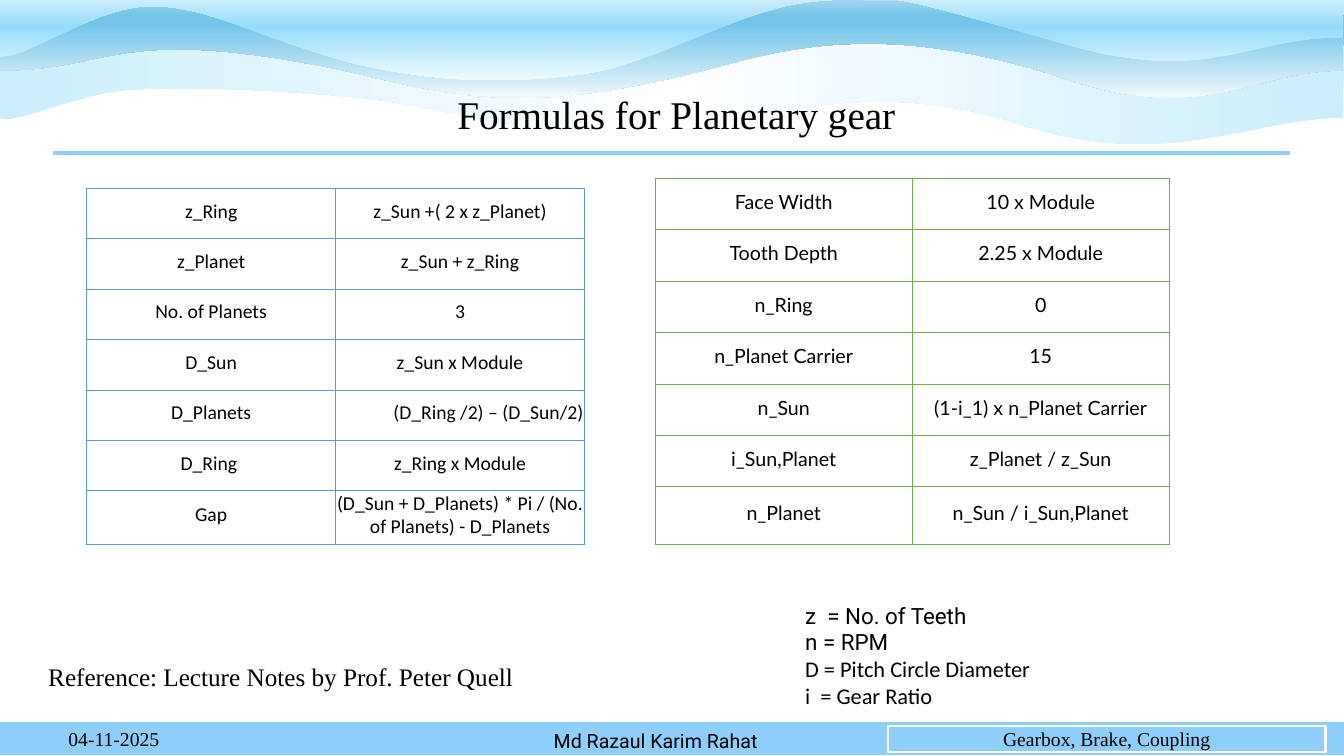
from dataclasses import dataclass
from typing import NamedTuple

from lxml import etree
from pptx import Presentation, util as u
from pptx.dml import color
from pptx.enum import shapes, text
from pptx.oxml import ns

# Lengths count square grid cells: 75 rows fill the slide's height.
HEIGHT = u.Inches(7.5)
CELL = HEIGHT / 75
COLUMNS = 133.33
SKY, WHITE, BLACK = "8ECEFA", "FFFFFF", "000000"
SERIF, SANS, HUMANIST, OFFICE = "Times New Roman", "Roboto", "Lato", "Calibri"
LEFT, CENTER, RIGHT = text.PP_ALIGN.LEFT, text.PP_ALIGN.CENTER, text.PP_ALIGN.RIGHT
TOP, MIDDLE = text.MSO_ANCHOR.TOP, text.MSO_ANCHOR.MIDDLE

Point = tuple[float, float]


class Box(NamedTuple):
    left: float
    top: float
    width: float
    height: float


@dataclass
class Wave:
    start: Point
    curves: list[tuple[Point, Point, Point]]
    top_edge: list[Point]
    stops: list[tuple[int, str]]
    angle: int


@dataclass
class Label:
    box: Box
    lines: list[tuple[str, str]]
    size: int
    align: int = CENTER
    anchor: int = MIDDLE
    framed: bool = False


@dataclass
class FormulaTable:
    box: Box
    row_height: float
    border: str
    font: str
    rows: list[tuple[str, str]]


WAVES = [
    Wave((133.2, 11.7),
         [((123.8, 11.7), (115.4, 17.3), (100.1, 12)),
          ((82.9, 6.8), (72.2, 13.8), (61.1, 13.4)),
          ((50.1, 13), (42.2, 10.1), (33.6, 9.5)),
          ((25, 8.8), (18.5, 8.6), (12.9, 8.9)),
          ((7.3, 9.3), (1.5, 12.5), (-0.1, 11.7))],
         [(-0.2, 4.5), (133.4, 4.8)],
         [(0, "CAEEFB"), (50, WHITE), (100, "CAEEFB")], 0),
    Wave((133.2, 7),
         [((123.9, 7), (119.6, 12.8), (104.4, 7.4)),
          ((87.1, 2), (77.3, 5), (70.6, 6.8)),
          ((52.8, 11.4), (45.9, 9.8), (34.6, 7.1)),
          ((11.3, 2.2), (11.5, 7), (0, 7))],
         [(0.1, 0), (65.4, -0.1), (133.3, 0.4)],
         [(0, "A2D8F0"), (17, "74C4E9"), (26, "74C4E9"), (100, "F0F8FD")], 270),
    Wave((133.2, 3.7),
         [((123.9, 3.6), (119.6, 8.8), (104.4, 4)),
          ((87.2, -0.8), (89.1, -0.5), (81.3, 0.1)),
          ((73.5, 0.6), (65.3, 6.4), (57.6, 7.4)),
          ((49.8, 8.4), (42.4, 8.1), (34.7, 6.2)),
          ((25.8, 3.8), (20.7, 0.6), (15, 0.6)),
          ((9.2, 0.6), (2.2, 6.3), (-0.3, 5.5))],
         [(0.1, -2.5), (65.4, -2.6), (133.3, -2.2)],
         [(0, WHITE), (50, "96DCF8"), (100, "EFFCFF")], 270),
]

LABELS = [
    Label(Box(88.1, 72, 43.4, 2.6), [("Gearbox, Brake, Coupling", SERIF)], 14, framed=True),
    Label(Box(3.3, 71.3, 16, 4), [("04-11-2025", SERIF)], 14),
    Label(Box(78.9, 59.2, 33.6, 11.8),
          [("z  = No. of Teeth", SANS), ("n = RPM", SANS),
           ("D = Pitch Circle Diameter", OFFICE), ("i  = Gear Ratio", OFFICE)],
          16, LEFT, TOP),
    Label(Box(3.8, 65.1, 74.9, 4),
          [("Reference: Lecture Notes by Prof. Peter Quell", SERIF)], 18, LEFT, TOP),
    Label(Box(52.2, 71.5, 25.7, 4), [("Md Razaul Karim Rahat", SANS)], 14),
]

TABLES = [
    FormulaTable(Box(8.6, 18.7, 49.4, 35.3), 5, "5B9BD5", OFFICE, [
        ("z_Ring", "z_Sun +( 2 x z_Planet)"),
        ("z_Planet", "z_Sun + z_Ring"),
        ("No. of Planets", "3"),
        ("D_Sun", "z_Sun x Module"),
        ("D_Planets", "(D_Ring /2) – (D_Sun/2)"),
        ("D_Ring ", "z_Ring x Module"),
        ("Gap", "(D_Sun + D_Planets) * Pi / (No. of Planets) - D_Planets")]),
    FormulaTable(Box(65, 17.7, 51, 36.3), 5.1, "70AD47", HUMANIST, [
        ("Face Width", "10 x Module"),
        ("Tooth Depth", "2.25 x Module"),
        ("n_Ring", "0"),
        ("n_Planet Carrier", "15"),
        ("n_Sun", "(1-i_1) x n_Planet Carrier"),
        ("i_Sun,Planet", "z_Planet / z_Sun"),
        ("n_Planet", "n_Sun / i_Sun,Planet")]),
]


def rgb(code: str) -> color.RGBColor:
    return color.RGBColor.from_string(code)


def emu(*cells: float) -> list[int]:
    return [round(c * CELL) for c in cells]


def write(p, content: str, font: str, size: int, **paragraph_format) -> None:
    r = p.add_run()
    r.text = content
    r.font.color.rgb = rgb(BLACK)
    for target, values in ((r.font, {"name": font, "size": u.Pt(size)}), (p, paragraph_format)):
        for name, value in values.items():
            setattr(target, name, value)


def sample(start: Point, curve: tuple[Point, Point, Point], steps: int = 24) -> list[Point]:
    """Points along a cubic Bezier curve, in EMU."""
    points = []
    for t in (i / steps for i in range(1, steps + 1)):
        weights = ((1 - t) ** 3, 3 * t * (1 - t) ** 2, 3 * t * t * (1 - t), t ** 3)
        xy = [sum(w * c for w, c in zip(weights, axis)) for axis in zip(start, *curve)]
        points.append(tuple(emu(*xy)))
    return points


def add_wave(s, wave: Wave) -> None:
    builder = s.shapes.build_freeform(*emu(*wave.start))
    start = wave.start
    for curve in wave.curves:
        builder.add_line_segments(sample(start, curve), close=False)
        start = curve[-1]
    builder.add_line_segments([emu(*point) for point in wave.top_edge], close=True)
    sp = builder.convert_to_shape()
    sp.shadow.inherit = False
    sp.line.fill.background()
    sp.fill.gradient()
    sp.fill.gradient_angle = wave.angle
    stops = sp._element.spPr.find(".//" + ns.qn("a:gsLst"))
    stops[:] = []
    for share, code in wave.stops:
        stop = etree.SubElement(stops, ns.qn("a:gs"), pos=str(share * 1000))
        etree.SubElement(stop, ns.qn("a:srgbClr"), val=code)


def add_bar(s, box: Box):
    sp = s.shapes.add_shape(shapes.MSO_SHAPE.RECTANGLE, *emu(*box))
    sp.shadow.inherit = False
    sp.fill.solid()
    sp.fill.fore_color.rgb = rgb(SKY)
    sp.line.color.rgb = rgb(WHITE)
    sp.line.width = u.Pt(1.5)
    return sp


def add_rule(s, left: float, right: float, y: float) -> None:
    line = s.shapes.add_connector(shapes.MSO_CONNECTOR.STRAIGHT, *emu(left, y, right, y))
    line.line.color.rgb = rgb(SKY)
    line.line.width = u.Pt(3)
    etree.SubElement(line._element.spPr, ns.qn("a:effectLst"))


def add_label(s, label: Label) -> None:
    sp = add_bar(s, label.box) if label.framed else s.shapes.add_textbox(*emu(*label.box))
    tf = sp.text_frame
    tf.word_wrap = True
    tf.vertical_anchor = label.anchor
    for i, (content, font) in enumerate(label.lines):
        p = tf.add_paragraph() if i else tf.paragraphs[0]
        write(p, content, font, label.size, alignment=label.align)


def border_cell(cell, code: str) -> None:
    tc_pr = cell._tc.get_or_add_tcPr()
    for i, side in enumerate("LRTB"):
        ln = etree.Element(ns.qn(f"a:ln{side}"), w=str(u.Pt(0.75)))
        fill = etree.SubElement(ln, ns.qn("a:solidFill"))
        etree.SubElement(fill, ns.qn("a:srgbClr"), val=code)
        tc_pr.insert(i, ln)


def add_formulas(s, data: FormulaTable) -> None:
    table = s.shapes.add_table(len(data.rows), 2, *emu(*data.box)).table
    table.first_row = table.horz_banding = False
    heights = [data.row_height] * (len(data.rows) - 1)
    heights.append(data.box.height - sum(heights))
    side, bottom = emu(0.1, 0.5)
    margins = {"margin_left": side, "margin_top": side, "margin_right": side,
               "margin_bottom": bottom, "vertical_anchor": MIDDLE}
    for row, height, contents in zip(table.rows, heights, data.rows):
        row.height = emu(height)[0]
        for cell, content in zip(row.cells, contents):
            for name, value in margins.items():
                setattr(cell, name, value)
            cell.fill.background()
            border_cell(cell, data.border)
            align = RIGHT if "–" in content else CENTER
            write(cell.text_frame.paragraphs[0], content, data.font, 14,
                  alignment=align, line_spacing=u.Pt(16.5))


def add_title(s, content: str, box: Box) -> None:
    sp = s.shapes.title
    sp.left, sp.top, sp.width, sp.height = emu(*box)
    sp.text_frame.vertical_anchor = MIDDLE
    write(sp.text_frame.paragraphs[0], content, SERIF, 28, alignment=CENTER, line_spacing=0.9)


def main() -> None:
    prs = Presentation()
    prs.slide_width, prs.slide_height = emu(COLUMNS)[0], HEIGHT
    s = prs.slides.add_slide(prs.slide_layouts[5])
    for wave in WAVES:
        add_wave(s, wave)
    add_bar(s, Box(-0.1, 71.5, 133.5, 3.5))
    add_rule(s, 5.3, 128, 15.2)
    add_title(s, "Formulas for Planetary gear", Box(9.6, 7.1, 115, 9))
    s.shapes._spTree.append(s.shapes.title._element)
    for label in LABELS:
        add_label(s, label)
    for data in TABLES:
        add_formulas(s, data)
    prs.save("out.pptx")


if __name__ == "__main__":
    main()
